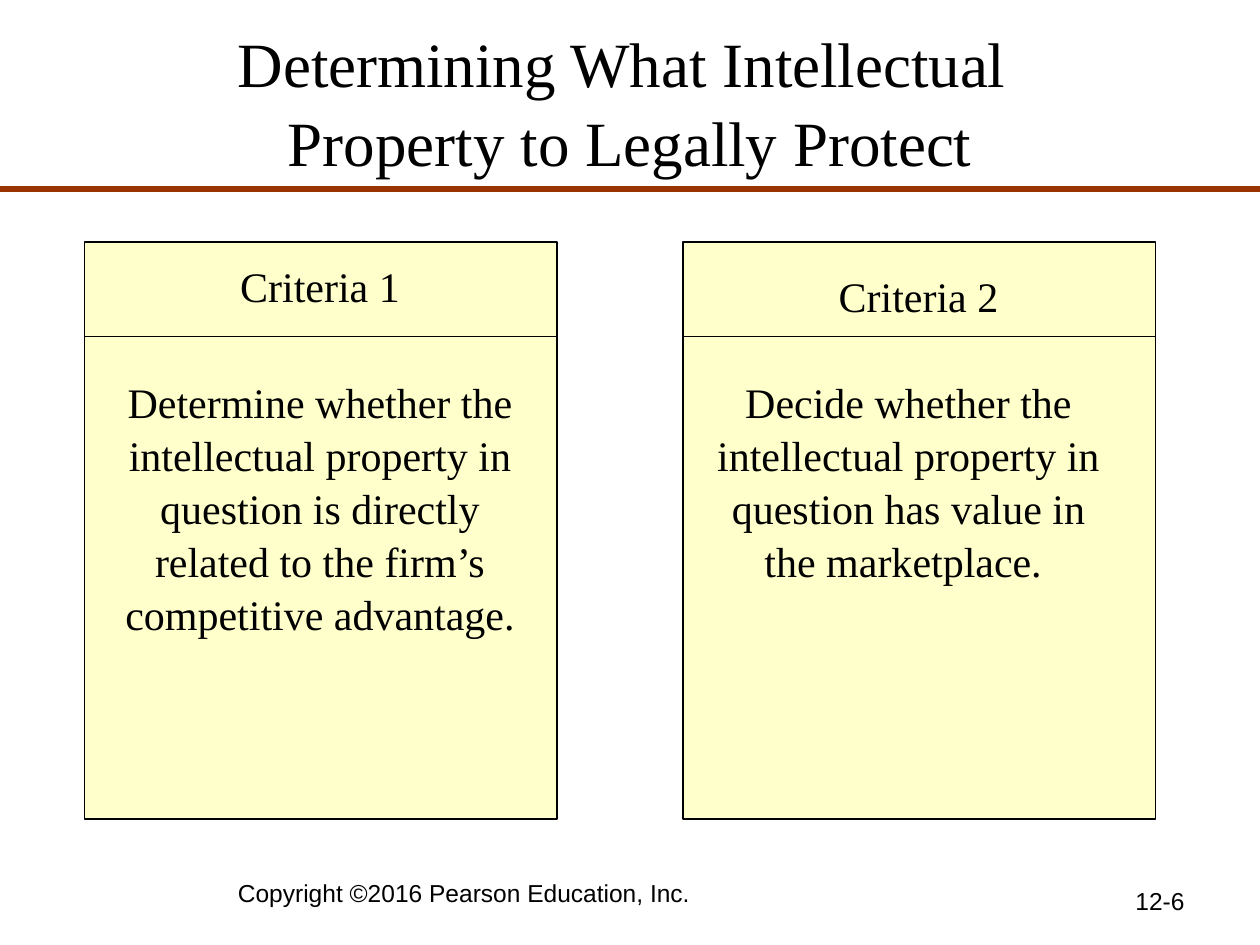
from lxml import etree
from pptx import Presentation
from pptx.dml.color import RGBColor
from pptx.enum.shapes import MSO_CONNECTOR, MSO_SHAPE
from pptx.enum.text import MSO_ANCHOR, PP_ALIGN
from pptx.oxml.ns import qn
from pptx.util import Inches, Pt

SERIF = {"name": "Times New Roman", "size": Pt(24)}
HEAD = {"name": "Times New Roman", "size": Pt(36)}
SMALL = {"name": "Arial", "size": Pt(14)}
LEFT, TOP, WIDE, TALL = 0.67, 1.92, 3.75, 4.58
STEP, RULE = 4.75, 2.67


def color(code):
    return RGBColor.from_string(code)


def write(shape, text, form, align=PP_ALIGN.CENTER, space=1.05):
    frame = shape.text_frame
    frame.word_wrap = True
    frame.text = text
    para = frame.paragraphs[0]
    para.alignment = align
    para.line_spacing = space
    for key, value in form.items():
        setattr(para.runs[0].font, key, value)
        setattr(para.font, key, value)
    for run in para.runs:
        for key, value in form.items():
            setattr(run.font, key, value)
        run.font.color.rgb = color("000000")


deck = Presentation()
deck.slide_width, deck.slide_height = Inches(10), Inches(7.5)
slide = deck.slides.add_slide(deck.slide_layouts[5])
shapes = slide.shapes

title = shapes.title
title.left, title.top = Inches(0.5), Inches(0.17)
title.width, title.height = Inches(9), Inches(1.25)
write(title, "Determining What Intellectual \vProperty to Legally Protect", HEAD)
title.text_frame.vertical_anchor = MSO_ANCHOR.MIDDLE

# Cards
for col in range(2):
    card = shapes.add_shape(MSO_SHAPE.RECTANGLE, Inches(LEFT + col * STEP),
                            Inches(TOP), Inches(WIDE), Inches(TALL))
    card.shadow.inherit = False
    card.fill.solid()
    card.fill.fore_color.rgb = color("FFFFCC")
    card.line.color.rgb = color("000000")
    card.line.width = Pt(0.75)

# Title rule and card dividers
rules = [(0, 10, 1.5, "993300", 3)]
rules += [(LEFT + col * STEP, LEFT + col * STEP + WIDE, RULE, "000000", 0.75)
          for col in range(2)]
for start, end, y, tint, thick in rules:
    rule = shapes.add_connector(MSO_CONNECTOR.STRAIGHT, Inches(start), Inches(y),
                                Inches(end), Inches(y))
    rule.line.color.rgb = color(tint)
    rule.line.width = Pt(thick)
    etree.SubElement(rule._element.spPr, qn("a:effectLst"))

# Card text and footer
MID, RIGHT = PP_ALIGN.CENTER, PP_ALIGN.RIGHT
texts = [
    (0.75, 2, 3.58, 0.5, "Criteria 1", SERIF, MID, 1.05),
    (5.5, 2.08, 3.58, 0.5, "Criteria 2", SERIF, MID, 1.05),
    (0.83, 2.92, 3.42, 2.1, "Determine whether the intellectual property in question "
     "is directly related to the firm’s competitive advantage.", SERIF, MID, 1.05),
    (5.5, 2.92, 3.42, 1.7, "Decide whether the intellectual property in question "
     "has value in the marketplace. ", SERIF, MID, 1.05),
    (0.5, 6.92, 6.42, 0.43, "Copyright ©2016 Pearson Education, Inc. ", SMALL, MID, 1),
    (7.17, 6.98, 2.33, 0.52, "12-6", SMALL, RIGHT, 1),
]
for x, y, wide, tall, text, form, align, space in texts:
    box = shapes.add_textbox(Inches(x), Inches(y), Inches(wide), Inches(tall))
    write(box, text, form, align, space)

deck.save("out.pptx")
